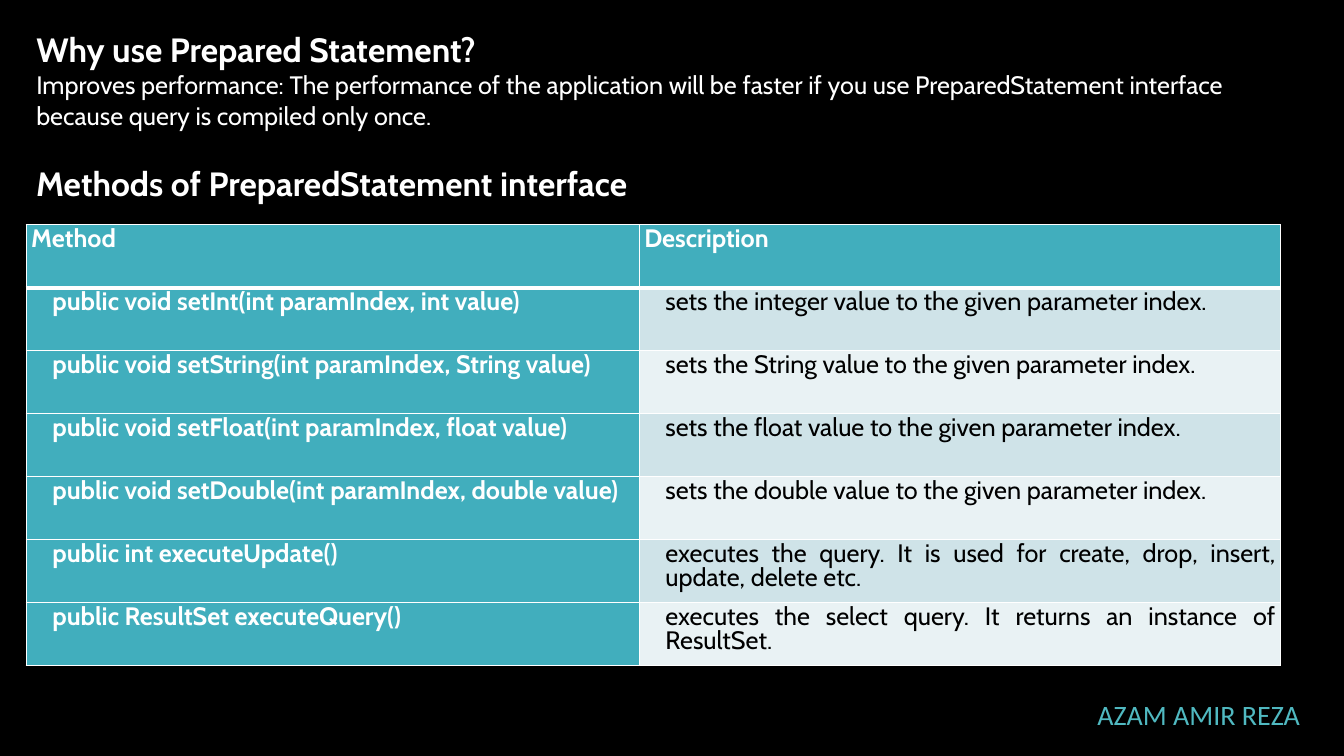
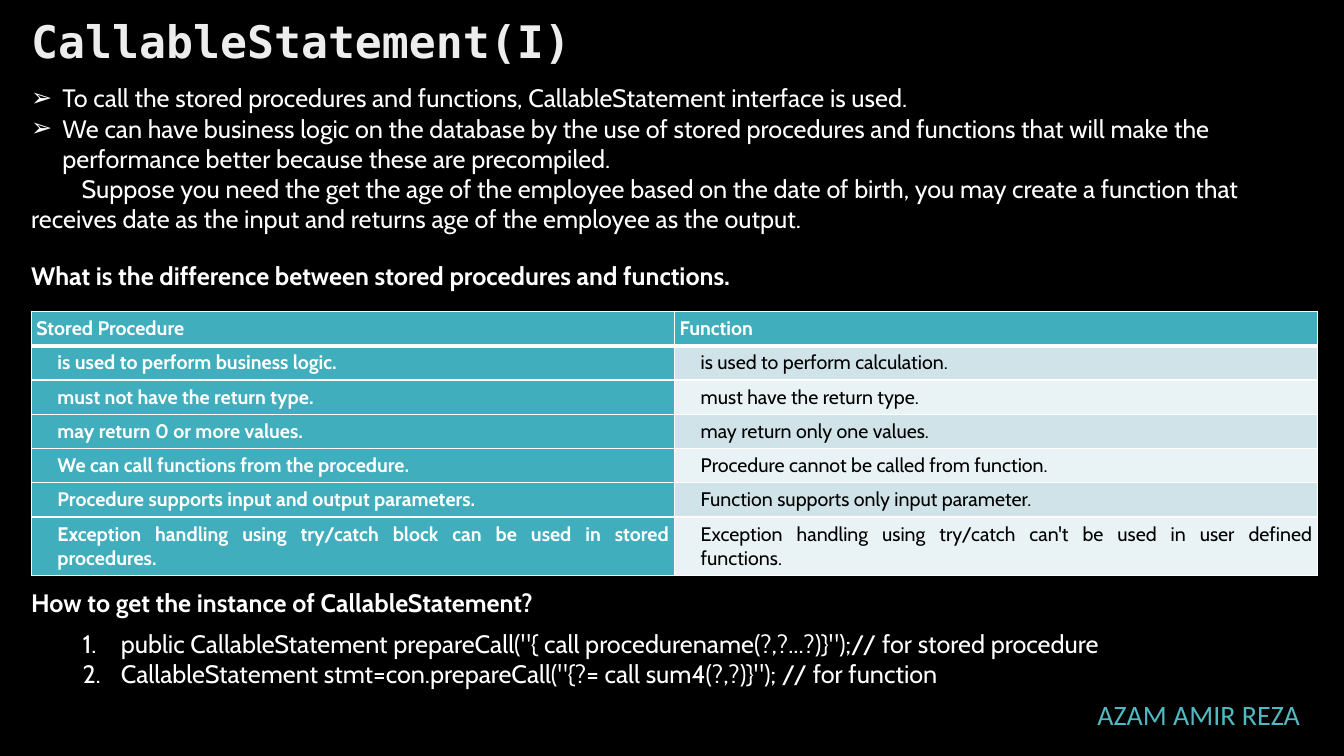
"""Builds two slides on the PreparedStatement and CallableStatement interfaces."""
from pptx import Presentation
from pptx.dml.color import RGBColor
from pptx.enum.text import MSO_ANCHOR, MSO_AUTO_SIZE, PP_ALIGN
from pptx.oxml import parse_xml
from pptx.oxml.ns import nsdecls, qn
from pptx.util import Inches, Pt

COLORS = {
    "background": "000000",
    "light": "FFFFFF",
    "dark": "000000",
    "accent": "41AEBD",
    "footer": "50B9C1",
    "band_odd": "CFE3E8",
    "band_even": "E9F2F4",
}
BODY_FONT = "Cabin"
FOOTER_FONT = "Calibri"
CODE_FONT = "DejaVu Sans Mono"


def write_text(shape, box, lines, size, bold=False, font=BODY_FONT, color="light",
               align=PP_ALIGN.LEFT, anchor=MSO_ANCHOR.TOP):
    """Places a text shape and fills it with one paragraph per line."""
    shape.left, shape.top, shape.width, shape.height = [Inches(length) for length in box]
    frame = shape.text_frame
    frame.text = "\n".join(lines)
    frame.word_wrap = True
    frame.auto_size = MSO_AUTO_SIZE.NONE
    frame.vertical_anchor = anchor
    for paragraph in frame.paragraphs:
        paragraph.alignment = align
        paragraph.space_before = Pt(0)
        for run in paragraph.runs:
            run.font.name = font
            run.font.size = Pt(size)
            run.font.bold = bold
            run.font.color.rgb = RGBColor.from_string(COLORS[color])
    return frame


def add_method_table(slide, left, top, widths, row_height, size, rows):
    """Adds a two-column table with a header row and a bold first column."""
    table = slide.shapes.add_table(
        len(rows), len(widths), Inches(left), Inches(top),
        Inches(sum(widths)), Inches(row_height * len(rows))).table
    table.horz_banding = False
    for column, width in zip(table.columns, widths):
        column.width = Inches(width)
    for row_index, texts in enumerate(rows):
        table.rows[row_index].height = Inches(row_height)
        for column_index, text in enumerate(texts):
            cell = table.cell(row_index, column_index)
            cell.margin_left = cell.margin_right = Inches(0.05)
            cell.margin_top = cell.margin_bottom = Inches(0.05)
            strong = row_index == 0 or column_index == 0
            band = "band_odd" if row_index % 2 else "band_even"
            thick_side = {0: "B", 1: "T"}.get(row_index)
            for side in "LRTB":
                width = Pt(3 if side == thick_side else 1)
                cell._tc.get_or_add_tcPr().append(parse_xml(
                    f'<a:ln{side} {nsdecls("a")} w="{width}"><a:solidFill>'
                    f'<a:srgbClr val="{COLORS["light"]}"/></a:solidFill></a:ln{side}>'))
            cell.fill.solid()
            cell.fill.fore_color.rgb = RGBColor.from_string(COLORS["accent" if strong else band])
            cell.text_frame.text = text
            paragraph = cell.text_frame.paragraphs[0]
            paragraph.line_spacing = Pt(17.2)
            paragraph.space_after = Pt(8)
            if row_index > 0:
                paragraph.alignment = PP_ALIGN.JUSTIFY
                paragraph._p.get_or_add_pPr().set("marL", str(Inches(0.21)))
            font = paragraph.runs[0].font
            font.name = BODY_FONT
            font.size = Pt(size)
            font.bold = strong
            font.color.rgb = RGBColor.from_string(COLORS["light" if strong else "dark"])


presentation = Presentation()
presentation.slide_width = Inches(13.33)
presentation.slide_height = Inches(7.5)
master_fill = presentation.slide_master.background.fill
master_fill.solid()
master_fill.fore_color.rgb = RGBColor.from_string(COLORS["background"])

content_layout = presentation.slide_layouts[1]
prepared_slide, callable_slide = [
    presentation.slides.add_slide(content_layout) for _ in range(2)]

write_text(prepared_slide.shapes.title, (0.26, 0.24, 12.78, 0.5),
           ["Why use Prepared Statement?"], 24, bold=True)
reason = write_text(prepared_slide.placeholders[1], (0.26, 0.64, 12.78, 0.71), [
    "Improves performance: The performance of the application will be faster if you use "
    "PreparedStatement interface because query is compiled only once."], 18)
add_method_table(prepared_slide, 0.26, 2.23, (6.08, 6.36), 0.625, 18, [
    ("Method", "Description"),
    ("public void setInt(int paramIndex, int value)",
     "sets the integer value to the given parameter index."),
    ("public void setString(int paramIndex, String value)",
     "sets the String value to the given parameter index."),
    ("public void setFloat(int paramIndex, float value)",
     "sets the float value to the given parameter index."),
    ("public void setDouble(int paramIndex, double value)",
     "sets the double value to the given parameter index."),
    ("public int executeUpdate()",
     "executes the query. It is used for create, drop, insert, update, delete etc."),
    ("public ResultSet executeQuery()",
     "executes the select query. It returns an instance of ResultSet."),
])

callable_title = write_text(
    callable_slide.shapes.title, (0.21, 0.12, 8.94, 0.64), ["CallableStatement(I)"], 32,
    bold=True, font=CODE_FONT, anchor=MSO_ANCHOR.MIDDLE).paragraphs[0]
callable_title.line_spacing = 0.9
title_properties = callable_title.runs[0]._r.get_or_add_rPr()
title_properties.replace(title_properties.find(qn("a:solidFill")), parse_xml(
    f'<a:gradFill {nsdecls("a")}><a:gsLst>'
    '<a:gs pos="0"><a:srgbClr val="BFBFBF"/></a:gs>'
    '<a:gs pos="28000"><a:srgbClr val="EDEDED"/></a:gs>'
    '<a:gs pos="100000"><a:srgbClr val="FFFFFF"/></a:gs>'
    '</a:gsLst><a:lin ang="4800000"/></a:gradFill>'))
usage = write_text(callable_slide.placeholders[1], (0.21, 0.77, 12.97, 1.62), [
    "To call the stored procedures and functions, CallableStatement interface is used.",
    "We can have business logic on the database by the use of stored procedures and functions "
    "that will make the performance better because these are precompiled.",
    "Suppose you need the get the age of the employee based on the date of birth, you may create "
    "a function that receives date as the input and returns age of the employee as the output.",
], 18)
add_method_table(callable_slide, 0.31, 3.09, (6.38, 6.38), 0.34, 14, [
    ("Stored Procedure", "Function"),
    ("is used to perform business logic.", "is used to perform calculation."),
    ("must not have the return type.", "must have the return type."),
    ("may return 0 or more values.", "may return only one values."),
    ("We can call functions from the procedure.", "Procedure cannot be called from function."),
    ("Procedure supports input and output parameters.",
     "Function supports only input parameter."),
    ("Exception handling using try/catch block can be used in stored procedures.",
     "Exception handling using try/catch can't be used in user defined functions."),
])
calls = write_text(callable_slide.shapes.add_textbox(0, 0, 0, 0), (0.72, 6.18, 12.45, 0.71), [
    'public CallableStatement prepareCall("{ call procedurename(?,?...?)}");// for stored procedure',
    'CallableStatement stmt=con.prepareCall("{?= call sum4(?,?)}"); // for function',
], 18)

headings = [
    (prepared_slide, (0.26, 1.57, 6.18, 0.5), 24, "Methods of PreparedStatement interface"),
    (callable_slide, (0.21, 2.53, 12.97, 0.4), 18,
     "What is the difference between stored procedures and functions."),
    (callable_slide, (0.21, 5.78, 5.28, 0.4), 18, "How to get the instance of CallableStatement?"),
]
for slide, box, size, heading in headings:
    write_text(slide.shapes.add_textbox(0, 0, 0, 0), box, [heading], size, bold=True)

arrow = '<a:buChar {} char="➢"/>'
number = '<a:buAutoNum {} type="arabicPeriod"/>'
plain = "<a:buNone {}/>"
list_styles = [
    (reason.paragraphs, 0, 0, plain),
    (usage.paragraphs[:2], 0.31, -0.31, arrow),
    (usage.paragraphs[2:], 0, 0.5, plain),
    (calls.paragraphs, 0.38, -0.38, number),
]
for paragraphs, margin, indent, bullet in list_styles:
    for paragraph in paragraphs:
        properties = paragraph._p.get_or_add_pPr()
        properties.set("marL", str(Inches(margin)))
        properties.set("indent", str(Inches(indent)))
        properties.append(parse_xml(bullet.format(nsdecls("a"))))

for slide in presentation.slides:
    write_text(slide.shapes.add_textbox(0, 0, 0, 0), (10.6, 6.89, 2.58, 0.4),
               ["AZAM AMIR REZA"], 20, font=FOOTER_FONT, color="footer",
               align=PP_ALIGN.CENTER, anchor=MSO_ANCHOR.MIDDLE)

presentation.save("out.pptx")
